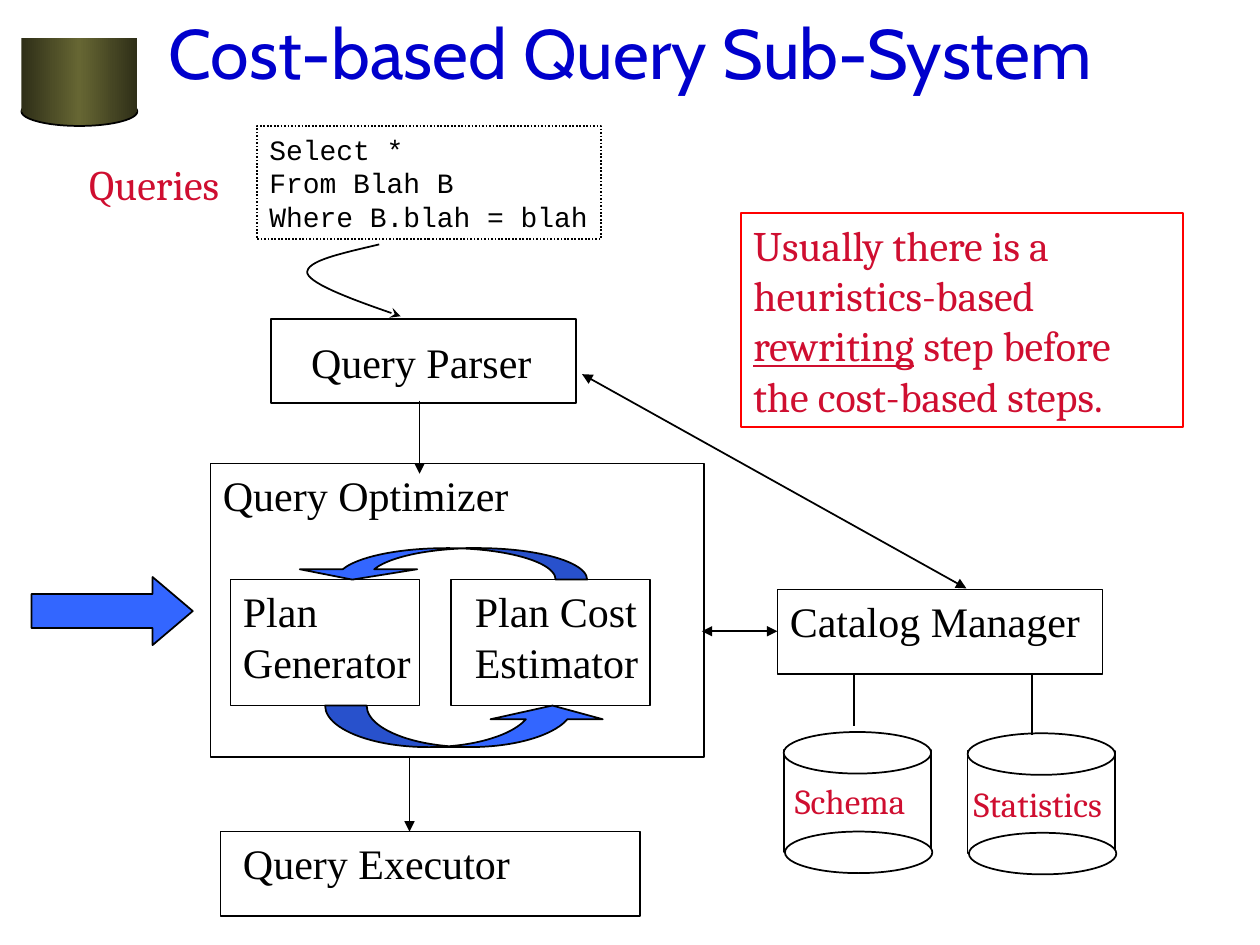
from copy import deepcopy

from pptx import Presentation
from pptx.dml.color import RGBColor
from pptx.enum.dml import MSO_LINE
from pptx.enum.shapes import MSO_CONNECTOR, MSO_SHAPE as SHAPE
from pptx.enum.text import MSO_ANCHOR, MSO_AUTO_SIZE, PP_ALIGN
from pptx.oxml.ns import qn
from pptx.util import Inches, Pt

THEME = {
    "black": "000000", "white": "FFFFFF", "arrow": "3366FF", "frame": "FF0000",
    "drum": ("2F2F18", "666633", "2F2F18"),
    "line": 1,
    "title": {"name": "Cabin", "size": 40, "color": "0000CC"},
    "step": {"name": "Times New Roman", "size": 24, "color": "000000"},
    "note": {"name": "Cambria", "size": 24, "color": "CF0E30"},
    "store": {"name": "Cambria", "size": 20, "color": "CF0E30"},
    "code": {"name": "Courier New", "size": 16, "color": "000000"},
}

TITLE = "Cost-based Query Sub-System"

# name, box (left, top, width, height), label (left, top, width, height)
STEPS = [
    ("Query Parser", (2.15, 2.53, 2.42, 0.67), (2.37, 2.62, 2.25, 0.5)),
    ("Query Optimizer", (1.67, 3.68, 3.92, 2.33), (1.67, 3.68, 6.75, 0.5)),
    ("Plan Generator", (1.83, 4.6, 1.5, 1), (1.83, 4.6, 1.83, 0.9)),
    ("Plan Cost Estimator", (3.58, 4.6, 1.58, 1), (3.67, 4.6, 2.25, 0.9)),
    ("Catalog Manager", (6.17, 4.68, 2.58, 0.67), (6.17, 4.68, 2.67, 0.5)),
    ("Query Executor", (1.75, 6.6, 3.33, 0.67), (1.83, 6.6, 4.33, 0.5)),
]

# from, to, ends that carry an arrowhead
LINKS = [
    ((3.33, 3.18), (3.33, 3.76), ("tailEnd",)),
    ((3.25, 6.01), (3.25, 6.6), ("tailEnd",)),
    ((5.57, 5.01), (6.17, 5.01), ("headEnd", "tailEnd")),
    ((4.62, 2.97), (7.67, 4.67), ("headEnd", "tailEnd")),
    ((6.78, 5.36), (6.78, 5.76), ()),
    ((8.19, 5.35), (8.19, 5.83), ()),
]

# preset, place, adjustments, rotation
BLOCK_ARROWS = [
    (SHAPE.CURVED_UP_ARROW, (2.58, 5.6, 2.25, 0.33), (1.35, 2.7, 0.33), 0),
    (SHAPE.CURVED_UP_ARROW, (2.33, 4.35, 2.33, 0.25), (1.87, 3.73, 0.33), 180),
    (SHAPE.RIGHT_ARROW, (0.25, 4.58, 1.28, 0.54), (0.5, 0.59), 0),
]

# name, left and top of the cylinder, label place
STORES = [
    ("Schema", (6.22, 5.81), (6.21, 6.14, 1.22, 0.77)),
    ("Statistics", (7.68, 5.82), (7.63, 6.16, 1.37, 0.44)),
]

SQL = [["Select *"], ["From Blah B"], ["Where B.blah = blah"]]
NOTE = [["Usually there is a"], ["heuristics-based"],
        ["_rewriting", " step before"], ["the cost-based steps."]]

# Bezier pieces of the arrow from the SQL text to the parser
CURVE = [
    ((3.01, 1.94), (2.72, 2.01), (2.42, 2.07), (2.44, 2.17)),
    ((2.44, 2.17), (2.47, 2.26), (2.83, 2.39), (3.18, 2.51)),
]


def rgb(value):
    return RGBColor.from_string(value)


def write(tf, lines, style, wrap=True, before=0):
    """Fill a text frame; a run that starts with _ is underlined."""
    look = THEME[style]
    frame = {"word_wrap": wrap, "auto_size": MSO_AUTO_SIZE.NONE,
             "vertical_anchor": MSO_ANCHOR.TOP,
             "margin_left": Inches(0.1), "margin_right": Inches(0.1),
             "margin_top": Inches(0.05), "margin_bottom": Inches(0.05)}
    for key, value in frame.items():
        setattr(tf, key, value)
    for i, runs in enumerate(lines):
        p = tf.paragraphs[0] if i == 0 else tf.add_paragraph()
        p.alignment = PP_ALIGN.LEFT
        p.space_before = Pt(before)
        for text in runs:
            r = p.add_run()
            r.text = text.lstrip("_")
            font = {"name": look["name"], "size": Pt(look["size"])}
            if text.startswith("_"):
                font["underline"] = True
            for key, value in font.items():
                setattr(r.font, key, value)
            r.font.color.rgb = rgb(look["color"])


def label(sp, text, place, style, **options):
    tb = sp.add_textbox(*map(Inches, place))
    write(tb.text_frame, [[text]], style, **options)


def outline(s, color="black"):
    s.line.color.rgb = rgb(THEME[color])
    s.line.width = Pt(THEME["line"])


def shape(sp, kind, place, fill=None, line="black"):
    s = sp.add_shape(kind, *map(Inches, place))
    s.shadow.inherit = False
    if fill:
        s.fill.solid()
        s.fill.fore_color.rgb = rgb(THEME[fill])
    else:
        s.fill.background()
    if line:
        outline(s, line)
    else:
        s.line.fill.background()
    return s


def arrowhead(s, end, kind="triangle"):
    ln = s.line._get_or_add_ln()
    ln.append(ln.makeelement(qn("a:" + end), {"type": kind}))


def link(sp, start, stop, ends):
    c = sp.add_connector(MSO_CONNECTOR.STRAIGHT, *map(Inches, start + stop))
    outline(c)
    for end in ends:
        arrowhead(c, end)
    sp_pr = c._element.spPr
    sp_pr.append(sp_pr.makeelement(qn("a:effectLst"), {}))


def drum_gradient(s):
    s.fill.gradient()
    s.fill.gradient_angle = 0
    stops = s._element.spPr.find(".//" + qn("a:gsLst"))
    stops.insert(1, deepcopy(stops[0]))
    for i, (stop, color) in enumerate(zip(s.fill.gradient_stops, THEME["drum"])):
        stop.position = i / 2
        stop.color.rgb = rgb(color)


def cylinder(sp, left, top, width=1.17, cap=0.33):
    shape(sp, SHAPE.RECTANGLE, (left, top + 0.14, width, 0.81), "white")
    for x, y in ((left, top), (left + 0.01, top + 0.79)):
        shape(sp, SHAPE.OVAL, (x, y, width, cap), "white")


def bezier(points, steps=16):
    for i in range(1, steps + 1):
        t = i / steps
        weights = ((1 - t) ** 3, 3 * t * (1 - t) ** 2, 3 * t * t * (1 - t), t ** 3)
        yield tuple(Inches(sum(w * pt[k] for w, pt in zip(weights, points)))
                    for k in (0, 1))


def curved_arrow(sp):
    fb = sp.build_freeform(*map(Inches, CURVE[0][0]))
    fb.add_line_segments([pt for piece in CURVE for pt in bezier(piece)], close=False)
    s = fb.convert_to_shape()
    s.shadow.inherit = False
    s.fill.background()
    outline(s)
    arrowhead(s, "tailEnd", "stealth")


def main():
    prs = Presentation()
    prs.slide_width, prs.slide_height = Inches(10), Inches(7.5)
    slide = prs.slides.add_slide(prs.slide_layouts[5])
    sp = slide.shapes

    title = sp.title
    title.left, title.top, title.width, title.height = map(Inches, (1.24, 0, 8.5, 0.82))
    write(title.text_frame, [[TITLE]], "title")
    title.text_frame.vertical_anchor = MSO_ANCHOR.MIDDLE

    drum_gradient(shape(sp, SHAPE.OVAL, (0.17, 0.77, 0.92, 0.23)))
    drum_gradient(shape(sp, SHAPE.RECTANGLE, (0.17, 0.3, 0.92, 0.59), line=None))

    for name, box, place in STEPS:
        shape(sp, SHAPE.RECTANGLE, box)
        label(sp, name, place, "step", before=15)
    for kind, place, adjustments, rotation in BLOCK_ARROWS:
        s = shape(sp, kind, place, "arrow")
        s.rotation = rotation
        for i, value in enumerate(adjustments):
            s.adjustments[i] = value
    for name, corner, place in STORES:
        cylinder(sp, *corner)
        label(sp, name, place, "store")
    for start, stop, ends in LINKS:
        link(sp, start, stop, ends)

    note = shape(sp, SHAPE.RECTANGLE, (5.88, 1.69, 3.51, 1.7), line="frame")
    write(note.text_frame, NOTE, "note", wrap=False)
    sql = shape(sp, SHAPE.RECTANGLE, (2.04, 1, 2.73, 0.9))
    sql.line.dash_style = MSO_LINE.ROUND_DOT
    write(sql.text_frame, SQL, "code", wrap=False)
    label(sp, "Queries", (0.61, 1.21, 1.42, 0.5), "note", wrap=False)
    curved_arrow(sp)

    prs.save("out.pptx")


if __name__ == "__main__":
    main()
